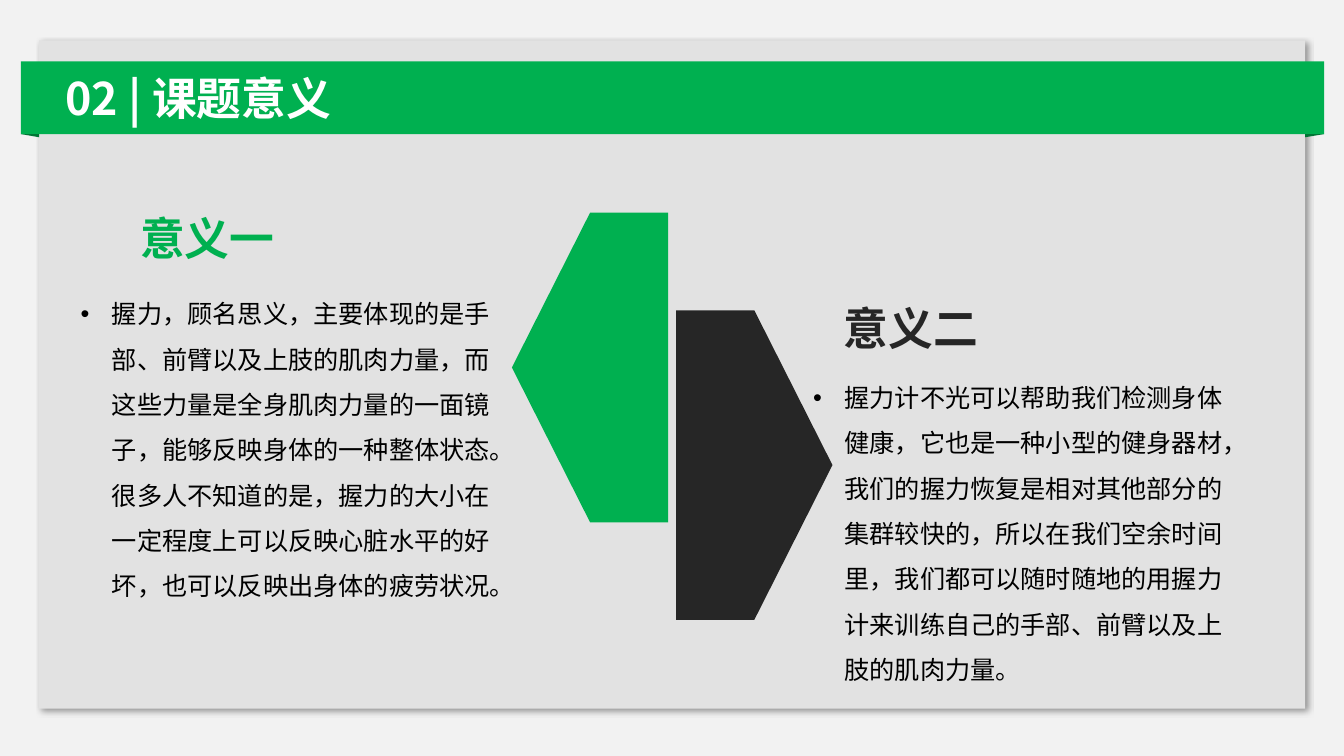
from lxml import etree
from pptx import Presentation
from pptx import util as u
from pptx.dml.color import RGBColor
from pptx.enum import shapes, text
from pptx.oxml import parse_xml
from pptx.oxml.ns import nsdecls, qn

COLORS = {
    "background": "F2F2F2",
    "panel": "E2E2E2",
    "green": "00B050",
    "fold": "007635",
    "dark": "262626",
    "white": "FFFFFF",
    "black": "000000",
}
FONT = "Noto Sans CJK SC"
PANEL = (0.99, 1.02, 31.9, 16.84)
BANNER = (0.53, 1.55, 32.84, 1.83)
ARROW_SIZE = (3.94, 7.8)
INDENT = 0.79

TITLE = "02 | 课题意义"
MEANINGS = [
    {
        "heading": "意义一",
        "body": "握力，顾名思义，主要体现的是手部、前臂以及上肢的肌肉力量，而这些力量是全身肌肉力量的一面镜子，"
                "能够反映身体的一种整体状态。很多人不知道的是，握力的大小在一定程度上可以反映心脏水平的好坏，"
                "也可以反映出身体的疲劳状况。",
        "color": "green",
        "heading_box": (3.28, 4.78, 3.94, 1.85),
        "body_box": (1.78, 7.01, 10.92, 8.2),
        "arrow_at": (12.9, 5.36),
        "rotation": 180,
    },
    {
        "heading": "意义二",
        "body": "握力计不光可以帮助我们检测身体健康，它也是一种小型的健身器材，我们的握力恢复是相对其他部分的集群较快的，"
                "所以在我们空余时间里，我们都可以随时随地的用握力计来训练自己的手部、前臂以及上肢的肌肉力量。",
        "color": "dark",
        "heading_box": (21.01, 7.04, 3.94, 1.85),
        "body_box": (20.24, 9.12, 10.92, 8.2),
        "arrow_at": (17.04, 7.82),
        "rotation": 0,
    },
]


def paint(shape, color):
    shape.fill.solid()
    shape.fill.fore_color.rgb = RGBColor.from_string(COLORS[color])
    shape.line.fill.background()
    shape.shadow.inherit = False


def add_block(slide, kind, box, color):
    shape = slide.shapes.add_shape(kind, *map(u.Cm, box))
    paint(shape, color)
    return shape


def write(slide, placeholder, content, box, *, size, color, bold=False, spacing=1.0,
          wrap=False, bullet=False):
    """Place a placeholder in front of the shapes drawn so far and fill it with text."""
    slide.shapes.element.append(placeholder.element)
    placeholder.left, placeholder.top, placeholder.width, placeholder.height = map(u.Cm, box)
    frame = placeholder.text_frame
    frame.word_wrap = wrap
    frame.auto_size = text.MSO_AUTO_SIZE.SHAPE_TO_FIT_TEXT
    frame.vertical_anchor = text.MSO_ANCHOR.TOP
    frame.margin_left = frame.margin_right = u.Cm(0.25)
    frame.margin_top = frame.margin_bottom = u.Cm(0.13)

    paragraph = frame.paragraphs[0]
    paragraph.alignment = text.PP_ALIGN.LEFT
    paragraph.line_spacing = spacing
    paragraph.space_before = u.Pt(0)
    if bullet:
        properties = paragraph._p.get_or_add_pPr()
        properties.set("marL", str(u.Cm(INDENT)))
        properties.set("indent", str(-u.Cm(INDENT)))
        etree.SubElement(properties, qn("a:buFont"), typeface="Arial")
        etree.SubElement(properties, qn("a:buChar"), char="•")

    run = paragraph.add_run()
    run.text = content
    run.font.size = u.Pt(size)
    run.font.bold = bold
    run.font.color.rgb = RGBColor.from_string(COLORS[color])
    run.font.name = FONT
    etree.SubElement(run._r.get_or_add_rPr(), qn("a:ea"), typeface=FONT)


def add_panel(slide, box):
    panel = add_block(slide, shapes.MSO_SHAPE.RECTANGLE, box, "panel")
    effects = panel.element.spPr.find(qn("a:effectLst"))
    effects.append(parse_xml(
        f'<a:outerShdw {nsdecls("a")} blurRad="{u.Pt(4)}" dist="{u.Pt(3)}" dir="2700000"'
        f' algn="tl" rotWithShape="0"><a:srgbClr val="{COLORS["black"]}">'
        '<a:alpha val="40000"/></a:srgbClr></a:outerShdw>'))


def add_banner(slide, box, panel_box):
    """Draw the ribbon, its folds behind the panel edges, and the title."""
    left, top, width, height = box
    bottom = top + height
    add_block(slide, shapes.MSO_SHAPE.RECTANGLE, box, "green")
    panel_left, panel_right = panel_box[0], panel_box[0] + panel_box[2]
    for outer, inner in ((left, panel_left), (left + width, panel_right)):
        builder = slide.shapes.build_freeform(u.Cm(outer), u.Cm(bottom))
        builder.add_line_segments([(u.Cm(inner), u.Cm(bottom)),
                                   (u.Cm(inner), u.Cm(bottom + 0.08))])
        paint(builder.convert_to_shape(), "fold")
    write(slide, slide.shapes.title, TITLE, (left + 0.87, top + 0.1, 7.54, 1.63),
          size=32, color="white", bold=True)


def add_meaning(slide, meaning, heading, body):
    arrow = add_block(slide, shapes.MSO_SHAPE.PENTAGON,
                      (*meaning["arrow_at"], *ARROW_SIZE), meaning["color"])
    arrow.rotation = meaning["rotation"]
    write(slide, heading, meaning["heading"], meaning["heading_box"],
          size=32, color=meaning["color"], bold=True, spacing=1.3)
    write(slide, body, meaning["body"], meaning["body_box"],
          size=18, color="black", spacing=1.5, wrap=True, bullet=True)


def add_comparison_slide(presentation):
    slide = presentation.slides.add_slide(presentation.slide_layouts[4])
    slide.background.fill.solid()
    slide.background.fill.fore_color.rgb = RGBColor.from_string(COLORS["background"])
    _, *fields = list(slide.placeholders)
    add_panel(slide, PANEL)
    add_banner(slide, BANNER, PANEL)
    for meaning, heading, body in zip(MEANINGS, fields[::2], fields[1::2]):
        add_meaning(slide, meaning, heading, body)


def main():
    presentation = Presentation()
    presentation.slide_width = u.Cm(33.87)
    presentation.slide_height = u.Cm(19.05)
    add_comparison_slide(presentation)
    presentation.save("out.pptx")


if __name__ == "__main__":
    main()
